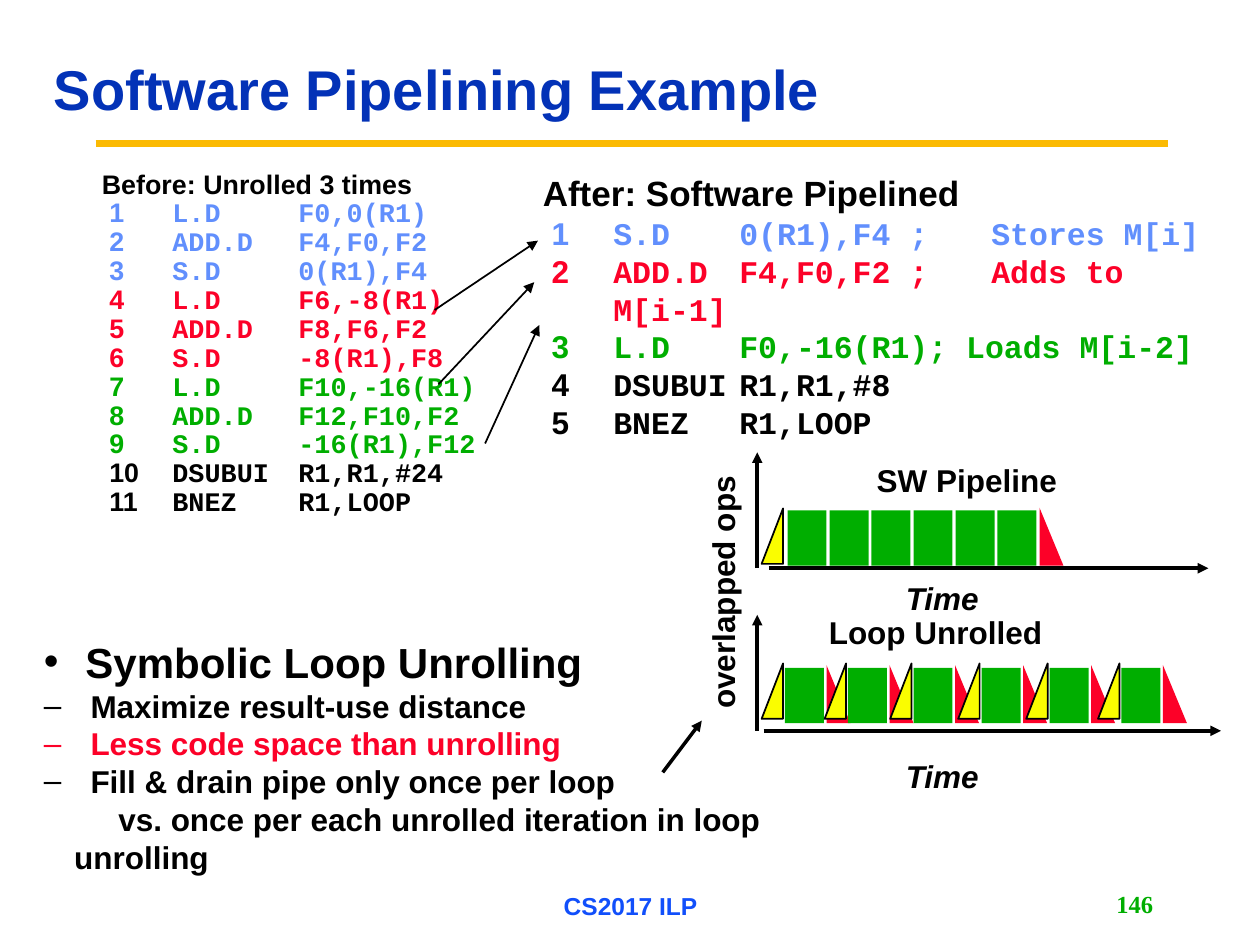
from pptx import Presentation
from pptx.dml.color import RGBColor
from pptx.enum.shapes import MSO_CONNECTOR, MSO_SHAPE
from pptx.enum.text import MSO_ANCHOR, PP_ALIGN
from pptx.oxml.ns import qn
from pptx.util import Inches, Pt
from lxml.etree import SubElement

COLORS = {"black": "000000", "title": "0332B7", "gold": "FBBA03", "footer": "114FFB",
          "blue": "618FFD", "red": "FC0128", "green": "00AE00", "yellow": "FAFD00"}
ARIAL, MONO = "Arial", "Courier New"

BEFORE = [("1", "L.D\tF0,0(R1)", "blue"), ("2", "ADD.D\tF4,F0,F2", "blue"),
          ("3", "S.D\t0(R1),F4", "blue"), ("4", "L.D\tF6,-8(R1)", "red"),
          ("5", "ADD.D\tF8,F6,F2", "red"), ("6", "S.D\t-8(R1),F8", "red"),
          ("7", "L.D\tF10,-16(R1)", "green"), ("8", "ADD.D\tF12,F10,F2", "green"),
          ("9", "S.D\t-16(R1),F12", "green"), ("10", "DSUBUI\tR1,R1,#24", "black"),
          ("11", "BNEZ\tR1,LOOP", "black")]
AFTER = [("1", "S.D\t0(R1),F4 ;\tStores M[i]", "blue"),
         ("2", "ADD.D\tF4,F0,F2 ;\tAdds to M[i-1]", "red"),
         ("3", "L.D\tF0,-16(R1); Loads M[i-2]", "green"),
         ("4", "DSUBUI\tR1,R1,#8", "black"), ("5", "BNEZ\tR1,LOOP", "black")]
# bullet, text, size, colour, left margin, first-line indent
POINTS = [("•", "Symbolic Loop Unrolling", 24, "black", 0.33, -0.33),
          ("–", "Maximize result-use distance", 18, "black", 0.37, -0.37),
          ("–", "Less code space than unrolling", 18, "red", 0.37, -0.37),
          ("–", "Fill & drain pipe only once per loop", 18, "black", 0.37, -0.37),
          (None, "vs. once per each unrolled iteration in loop unrolling", 18, "black",
           0.24, 0.35)]


def rgb(name):
    return RGBColor.from_string(COLORS[name])


def add_run(p, text, color="black", **fmt):
    r = p.add_run()
    r.text = text
    for key, value in {"name": ARIAL, "bold": True, **fmt}.items():
        setattr(r.font, key, value)
    r.font.color.rgb = rgb(color)


def add_box(slide, left, top, width, height, wrap=True, anchor=MSO_ANCHOR.TOP):
    sp = slide.shapes.add_textbox(*map(Inches, (left, top, width, height)))
    sp.text_frame.word_wrap = wrap
    sp.text_frame.vertical_anchor = anchor
    return sp


def add_label(slide, box, text, align=PP_ALIGN.LEFT, spacing=1.0, wrap=False,
              anchor=MSO_ANCHOR.TOP, **fmt):
    sp = add_box(slide, *box, wrap=wrap, anchor=anchor)
    p = sp.text_frame.paragraphs[0]
    p.alignment, p.line_spacing = align, spacing
    add_run(p, text, **{"size": Pt(18), **fmt})
    return sp


def add_line(slide, start, end, width, color="black", arrow=True):
    line = slide.shapes.add_connector(MSO_CONNECTOR.STRAIGHT, *map(Inches, (*start, *end)))
    line.line.color.rgb = rgb(color)
    line.line.width = Pt(width)
    if arrow:
        SubElement(line.line._get_or_add_ln(), qn("a:tailEnd"), type="triangle")
    SubElement(line._element.spPr, qn("a:effectLst"))


def add_part(shapes, kind, left, top, width, height, color, outlined=False, rotation=0):
    sp = shapes.add_shape(kind, *map(Inches, (left, top, width, height)))
    sp.shadow.inherit = False
    sp.rotation = rotation
    sp.fill.solid()
    sp.fill.fore_color.rgb = rgb(color)
    if outlined:
        sp.line.color.rgb = rgb("black")
        sp.line.width = Pt(1)
    else:
        sp.line.fill.background()


def add_block(shapes, left, top):
    add_part(shapes, MSO_SHAPE.RECTANGLE, left, top, 0.31, 0.44, "green")


def add_fill_ramp(shapes, left, top):
    add_part(shapes, MSO_SHAPE.RIGHT_TRIANGLE, left, top, 0.44, 0.17, "yellow", True, 270)


def add_drain_ramp(shapes, left, top):
    add_part(shapes, MSO_SHAPE.RIGHT_TRIANGLE, left, top, 0.19, 0.46, "red")


def set_indent(p, left, first, tabs=()):
    pPr = p._p.get_or_add_pPr()
    pPr.set("marL", str(Inches(left)))
    pPr.set("indent", str(Inches(first)))
    pPr.set("defTabSz", str(Inches(1)))
    if tabs:
        tab_list = SubElement(pPr, qn("a:tabLst"))
        for pos in tabs:
            SubElement(tab_list, qn("a:tab"), pos=str(Inches(pos)), algn="l")


def add_listing(slide, box, heading, heading_size, rows, size, spacing, tabs):
    """spacing holds the line spacing of the heading and of the rows."""
    tf = add_box(slide, *box).text_frame
    p = tf.paragraphs[0]
    p.line_spacing = spacing[0]
    set_indent(p, 0.56, -0.56, tabs)
    add_run(p, heading, size=Pt(heading_size))
    for number, code, color in rows:
        p = tf.add_paragraph()
        p.line_spacing = spacing[1]
        set_indent(p, 0.56, -0.56, tabs)
        add_run(p, f" {number}\t", color, size=Pt(size))
        add_run(p, code, color, size=Pt(size), name=MONO)


def add_points(slide, box):
    tf = add_box(slide, *box).text_frame
    for i, (bullet, text, size, color, left, first) in enumerate(POINTS):
        p = tf.add_paragraph() if i else tf.paragraphs[0]
        set_indent(p, left, first)
        if bullet:
            pPr = p._p.get_or_add_pPr()
            clr = SubElement(pPr, qn("a:buClr"))
            SubElement(clr, qn("a:srgbClr"), val=COLORS[color])
            SubElement(pPr, qn("a:buFont"), typeface=ARIAL)
            SubElement(pPr, qn("a:buChar"), char=bullet)
        add_run(p, text, color, size=Pt(size))


def add_axes(slide, left, base, x_start, x_end, time_top):
    add_line(slide, (left + x_start, base), (left + x_end, base), 2)
    add_line(slide, (left, base), (left, base - 0.92), 2)
    add_label(slide, (left + 1.08, time_top, 0.85, 0.4), "Time", italic=True)


def add_pipeline_chart(slide, left, base):
    top = base - 0.46
    add_drain_ramp(slide.shapes, left + 2.24, top - 0.02)
    add_fill_ramp(slide.shapes, left - 0.1, top + 0.12)
    for i in range(6):
        add_block(slide.shapes, left + 0.24 + i / 3, top)
    add_label(slide, (left + 0.85, base - 0.9, 1.7, 0.4), "SW Pipeline")
    add_axes(slide, left, base, 0.09, 3.58, base + 0.04)


def add_unrolled_chart(slide, left, base):
    top = base - 0.5
    for offset in (0.22, 0.72, 1.24, 1.78, 2.32, 2.89):
        shapes = slide.shapes.add_group_shape().shapes
        x = left + offset
        add_block(shapes, x, top)
        add_fill_ramp(shapes, x - 0.32, top + 0.1)
        add_drain_ramp(shapes, x + 0.33, top - 0.02)
    add_label(slide, (left + 0.47, base - 0.98, 2, 0.4), "Loop Unrolled")
    add_axes(slide, left, base, 0.05, 3.68, base + 0.16)


def add_frame(slide):
    middle = MSO_ANCHOR.MIDDLE
    add_line(slide, (0.76, 1.14), (9.27, 1.14), 3.75, "gold", arrow=False)
    add_label(slide, (3.42, 7.03, 3.17, 0.31), "CS2017 ILP", PP_ALIGN.CENTER,
              anchor=middle, wrap=True, size=Pt(14), color="footer")
    add_label(slide, (7.17, 7.01, 2.08, 0.32), "146", PP_ALIGN.RIGHT, anchor=middle,
              wrap=True, size=Pt(14), color="green", name="Times New Roman")
    add_label(slide, (0.33, 0.25, 9.25, 0.96), "Software Pipelining Example", spacing=0.9,
              anchor=middle, wrap=True, size=Pt(32), color="title")


def main():
    prs = Presentation()
    prs.slide_width, prs.slide_height = Inches(10), Inches(7.5)
    slide = prs.slides.add_slide(prs.slide_layouts[6])
    add_frame(slide)

    # Code before and after, with arrows between matching instructions
    add_listing(slide, (0.71, 1.33, 3.65, 3.92), "Before: Unrolled 3 times", 15.3,
                BEFORE, 15.3, (0.8, 0.9), (0, 1.5, 2, 3, 4, 5, 6, 7))
    add_listing(slide, (4.21, 1.35, 5.57, 3.94), "After: Software Pipelined", 20,
                AFTER, 18, (0.9, 1.0), (0, 1.5, 3.06, 4, 5, 6, 7, 8))
    for start, end in (((3.45, 2.46), (4.27, 1.91)), ((3.48, 3.05), (4.24, 2.24)),
                       ((3.85, 3.52), (4.28, 2.58))):
        add_line(slide, start, end, 1)

    # Key points
    add_points(slide, (0.25, 5, 6.78, 1.7))

    # Charts of overlapped operations over time
    add_pipeline_chart(slide, 6.01, 4.51)
    add_unrolled_chart(slide, 6.01, 5.8)
    add_label(slide, (4.71, 4.5, 2.05, 0.4), "overlapped ops").rotation = 270
    add_line(slide, (5.26, 6.13), (5.57, 5.72), 2)

    prs.save("out.pptx")


if __name__ == "__main__":
    main()
